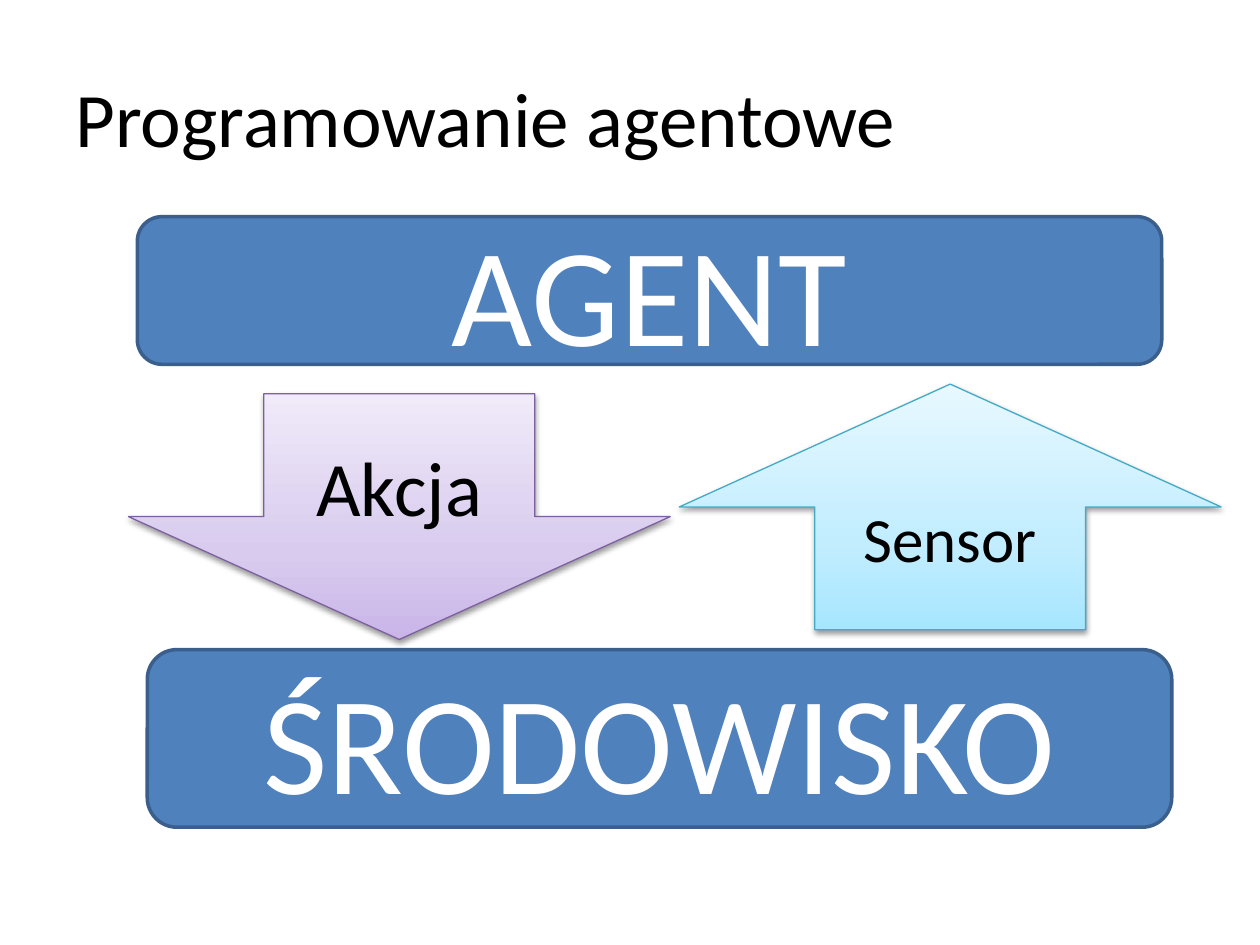
import pptx
import pptx.dml.color
import pptx.enum.shapes
import pptx.enum.text
import pptx.oxml
import pptx.oxml.ns
import pptx.util

Pt = pptx.util.Pt
SHAPE = pptx.enum.shapes.MSO_SHAPE
ALIGN = pptx.enum.text.PP_ALIGN
MIDDLE = pptx.enum.text.MSO_ANCHOR.MIDDLE
qn = pptx.oxml.ns.qn

COLORS = {
    "text": "000000",
    "light": "FFFFFF",
    "box": "4F81BD",
    "box_line": "3A5F8C",
    "action_line": "7D60A0",
    "sensor_line": "46AAC5",
    "shadow": "000000",
}
GRADIENTS = {
    "action": ((0, "C9B5E8"), (35, "D8CBEE"), (100, "F0EAF9")),
    "sensor": ((0, "A7E6FF"), (35, "C1EDFF"), (100, "E7F8FF")),
}


def rgb(name):
    return pptx.dml.color.RGBColor.from_string(COLORS[name])


def xml(markup):
    tag, rest = markup.split(" ", 1)
    return pptx.oxml.parse_xml(f"{tag} {pptx.oxml.ns.nsdecls('a')} {rest}")


def put_text(sp, text, size, color="text", align=ALIGN.CENTER):
    tf = sp.text_frame
    tf.word_wrap = True
    tf.vertical_anchor = MIDDLE
    p = tf.paragraphs[0]
    p.alignment = align
    r = p.add_run()
    r.text = text
    r.font.name = "Calibri"
    r.font.size = Pt(size)
    r.font.color.rgb = rgb(color)


def add_shape(s, kind, box, line, width):
    sp = s.shapes.add_shape(kind, *map(Pt, box))
    sp.shadow.inherit = False
    sp.line.color.rgb = rgb(line)
    sp.line.width = Pt(width)
    return sp


def add_title(s, box, text):
    sp = s.shapes.title
    sp.left, sp.top, sp.width, sp.height = map(Pt, box)
    put_text(sp, text, 44, align=ALIGN.LEFT)


def add_block(s, box, text):
    sp = add_shape(s, SHAPE.ROUNDED_RECTANGLE, box, "box_line", 2)
    sp.fill.solid()
    sp.fill.fore_color.rgb = rgb("box")
    put_text(sp, text, 80, "light")


def add_arrow(s, kind, box, text, size, theme):
    """Block arrow with an upward three-stop gradient and a soft shadow below."""
    sp = add_shape(s, kind, box, f"{theme}_line", 0.75)
    sp.fill.gradient()
    sp.fill.gradient_angle = 90
    spPr = sp._element.spPr
    stops = spPr.find(".//" + qn("a:gsLst"))
    for stop in list(stops):
        stops.remove(stop)
    for pos, color in GRADIENTS[theme]:
        stops.append(xml(f'<a:gs pos="{pos * 1000}"><a:srgbClr val="{color}"/></a:gs>'))
    spPr.find(qn("a:effectLst")).append(xml(
        f'<a:outerShdw blurRad="{Pt(3.1)}" dist="{Pt(1.6)}" dir="5400000" rotWithShape="0">'
        f'<a:srgbClr val="{COLORS["shadow"]}"><a:alpha val="38000"/></a:srgbClr>'
        '</a:outerShdw>'))
    put_text(sp, text, size)


def main():
    prs = pptx.Presentation()
    prs.slide_width, prs.slide_height = Pt(720), Pt(540)
    s = prs.slides.add_slide(prs.slide_layouts[5])
    add_title(s, (36, 21.6, 648, 90), "Programowanie agentowe")
    add_block(s, (78.5, 123.8, 585.4, 84.4), "AGENT")
    add_block(s, (84.2, 371.2, 585.4, 101.5), "ŚRODOWISKO")
    add_arrow(s, SHAPE.DOWN_ARROW, (73.4, 225, 309.6, 140.4), "Akcja", 44, "action")
    add_arrow(s, SHAPE.UP_ARROW, (388.2, 219.5, 309.6, 140.4), "Sensor", 36, "sensor")
    prs.save("out.pptx")


if __name__ == "__main__":
    main()
